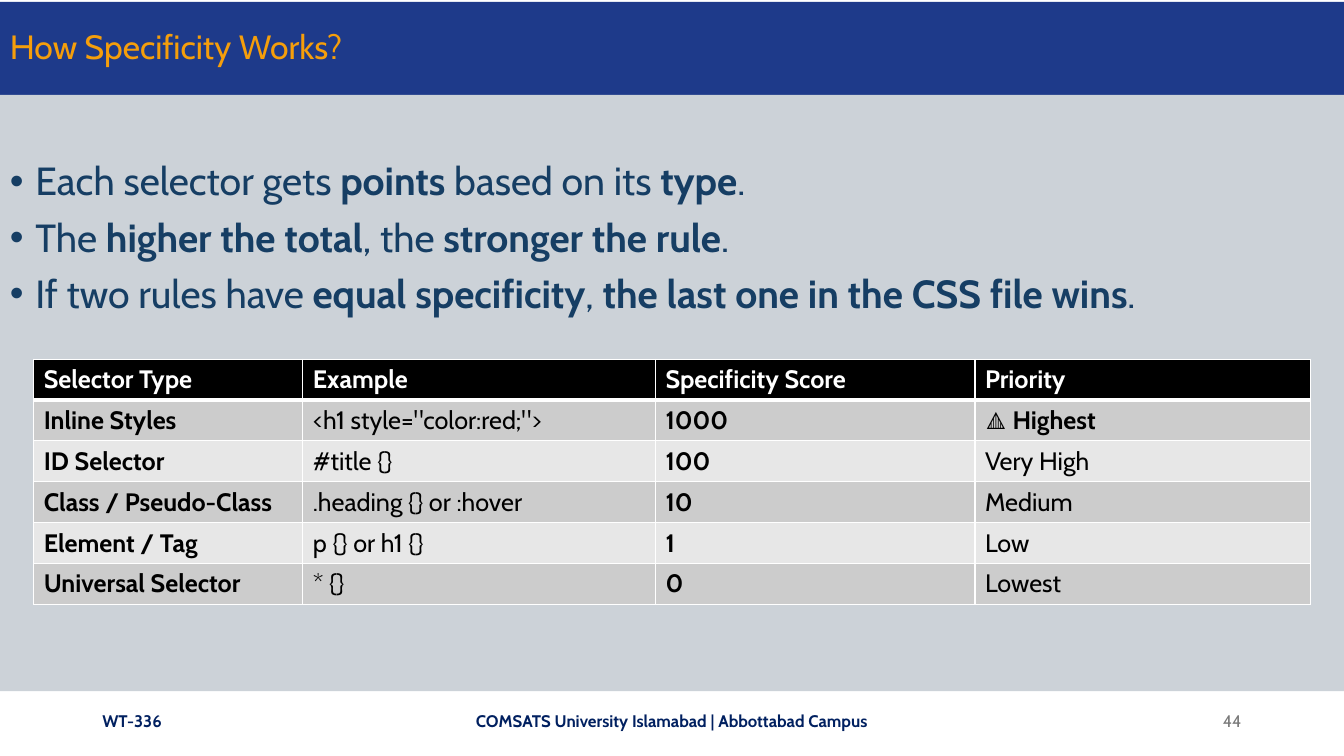
import pptx
import pptx.dml.color
import pptx.enum.shapes
import pptx.enum.text
import pptx.oxml
import pptx.oxml.ns
import pptx.util
from pptx.util import Cm

ALIGN = pptx.enum.text.PP_ALIGN
ANCHOR = pptx.enum.text.MSO_ANCHOR
NAMESPACE = pptx.oxml.ns.nsdecls("a")

POINTS = [
    "Each selector gets **points** based on its **type**.",
    "The **higher the total**, the **stronger the rule**.",
    "If two rules have **equal specificity**, **the last one in the CSS file wins**.",
]
COLUMN_WIDTHS = [6.78, 8.89, 8.05, 8.46]
ROW_HEIGHT = 1.03
SPECIFICITY = [
    ["**Selector Type**", "**Example**", "**Specificity Score**", "**Priority**"],
    ["**Inline Styles**", '<h1 style="color:red;">', "**1000**", "🔺 **Highest**"],
    ["**ID Selector**", "#title {}", "**100**", "Very High"],
    ["**Class / Pseudo-Class**", ".heading {} or :hover", "**10**", "Medium"],
    ["**Element / Tag**", "p {} or h1 {}", "**1**", "Low"],
    ["**Universal Selector**", "* {}", "**0**", "Lowest"],
]


def color(value):
    return pptx.dml.color.RGBColor.from_string(value)


class SlideBuilder:
    font = "Cabin"

    def __init__(self, slide):
        self.slide = slide

    def add_runs(self, paragraph, text, size, ink):
        """Add runs to a paragraph; text between ** marks is bold."""
        for index, part in enumerate(text.split("**")):
            if not part:
                continue
            run = paragraph.add_run()
            run.text = part
            run.font.name = self.font
            run.font.size = pptx.util.Pt(size)
            run.font.bold = index % 2 == 1
            run.font.color.rgb = color(ink)

    def band(self, top, height, fill, anchor):
        """Draw a full-width rectangle and return its text frame."""
        shape = self.slide.shapes.add_shape(
            pptx.enum.shapes.MSO_SHAPE.RECTANGLE, 0, Cm(top), Cm(33.87), Cm(height))
        shape.shadow.inherit = False
        shape.fill.solid()
        shape.fill.fore_color.rgb = color(fill)
        shape.line.fill.background()
        shape.text_frame.word_wrap = True
        shape.text_frame.vertical_anchor = anchor
        return shape.text_frame

    def title(self, text):
        paragraph = self.band(0.05, 2.34, "1E3A8A", ANCHOR.MIDDLE).paragraphs[0]
        paragraph.alignment = ALIGN.LEFT
        paragraph.line_spacing = 0.9
        self.add_runs(paragraph, text, 24, "F59E0B")

    def bullets(self, points):
        frame = self.band(2.39, 15.03, "CCD2D8", ANCHOR.TOP)
        frame.margin_top = Cm(1.69)
        for index, text in enumerate(points):
            paragraph = frame.add_paragraph() if index else frame.paragraphs[0]
            paragraph.alignment = ALIGN.LEFT
            paragraph.line_spacing = 0.9
            if index:
                paragraph.space_before = pptx.util.Pt(10)
            properties = paragraph._p.get_or_add_pPr()
            properties.set("marL", str(Cm(0.64)))
            properties.set("indent", str(-Cm(0.64)))
            properties.append(pptx.oxml.parse_xml(
                f'<a:buFont {NAMESPACE} typeface="Arial"/>'))
            properties.append(pptx.oxml.parse_xml(f'<a:buChar {NAMESPACE} char="•"/>'))
            self.add_runs(paragraph, text, 28, "163E64")

    def footer(self, left, width, text, alignment, ink):
        box = self.slide.shapes.add_textbox(Cm(left), Cm(17.65), Cm(width), Cm(1.02))
        frame = box.text_frame
        frame.word_wrap = True
        frame.vertical_anchor = ANCHOR.MIDDLE
        frame.paragraphs[0].alignment = alignment
        self.add_runs(frame.paragraphs[0], text, 12, ink)

    def borders(self, cell, top, bottom):
        """Give a cell white edges, with top and bottom widths in points."""
        properties = cell._tc.get_or_add_tcPr()
        edges = {"lnL": 1, "lnR": 1, "lnT": top, "lnB": bottom}
        for index, (edge, width) in enumerate(edges.items()):
            properties.insert(index, pptx.oxml.parse_xml(
                f'<a:{edge} {NAMESPACE} w="{pptx.util.Pt(width)}"><a:solidFill>'
                f'<a:srgbClr val="FFFFFF"/></a:solidFill></a:{edge}>'))

    def table(self, left, top, widths, rows):
        table = self.slide.shapes.add_table(
            len(rows), len(widths), Cm(left), Cm(top),
            Cm(sum(widths)), Cm(ROW_HEIGHT * len(rows))).table
        for column, width in zip(table.columns, widths):
            column.width = Cm(width)
        for row_index, row in enumerate(rows):
            table.rows[row_index].height = Cm(ROW_HEIGHT)
            header = row_index == 0
            fill = "000000" if header else ("E7E7E7", "CCCCCC")[row_index % 2]
            for column_index, text in enumerate(row):
                cell = table.cell(row_index, column_index)
                cell.fill.solid()
                cell.fill.fore_color.rgb = color(fill)
                cell.vertical_anchor = ANCHOR.MIDDLE
                self.borders(cell, 3 if row_index == 1 else 1, 3 if header else 1)
                self.add_runs(cell.text_frame.paragraphs[0], text, 18,
                              "FFFFFF" if header else "000000")


def main():
    presentation = pptx.Presentation()
    presentation.slide_width = Cm(33.87)
    presentation.slide_height = Cm(19.05)
    builder = SlideBuilder(presentation.slides.add_slide(presentation.slide_layouts[6]))
    builder.title("How Specificity Works?")
    builder.footer(2.33, 7.62, "**WT-336**", ALIGN.LEFT, "002060")
    builder.footer(11.22, 11.43, "**COMSATS University Islamabad | Abbottabad Campus**",
                   ALIGN.CENTER, "002060")
    builder.footer(23.92, 7.62, "44", ALIGN.RIGHT, "797979")
    builder.bullets(POINTS)
    builder.table(0.85, 9.05, COLUMN_WIDTHS, SPECIFICITY)
    presentation.save("out.pptx")


if __name__ == "__main__":
    main()
